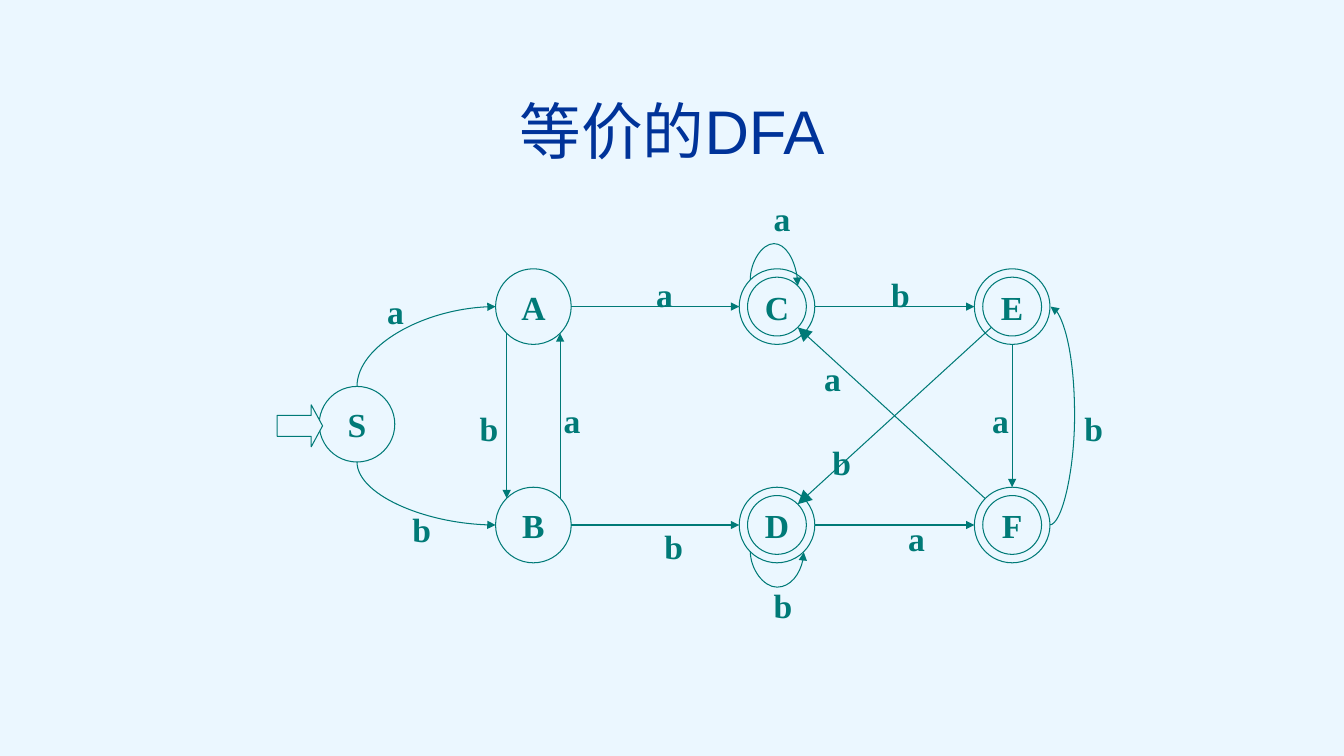
from dataclasses import dataclass
from math import cos, radians, sin

from lxml.etree import SubElement
from pptx import Presentation
from pptx.dml.color import RGBColor
from pptx.enum.shapes import MSO_CONNECTOR as Link, MSO_SHAPE as Shape
from pptx.enum.text import MSO_ANCHOR as Anchor, MSO_AUTO_SIZE as Fit, PP_ALIGN as Align
from pptx.oxml.ns import qn
from pptx.util import Inches, Length, Pt

# The slide is a grid of 160 columns by 90 rows, twelve to the inch
COLS, ROWS = 160, 90
PAPER, INK, TITLE = "EBF7FF", "007A77", "003399"
OUTER, INNER = 4.5, 3.5  # radii of the state circles
Point = tuple[float, float]


@dataclass
class State:
    name: str
    x: float
    y: float
    final: bool = False


@dataclass
class Port:
    """Point on a state's circle; angle runs clockwise from the right."""
    state: str
    angle: int
    radius: float = OUTER


@dataclass
class Edge:
    start: Port
    end: Port
    head: str = "med"


@dataclass
class Curve:
    start: Port
    end: Port
    preset: str
    turn: int
    flip: str = ""
    bend: float = 0


@dataclass
class Label:
    text: str
    x: float
    y: float


STATES = {s.name: s for s in (
    State("S", 42.5, 50.5), State("A", 63.5, 36.5), State("B", 63.5, 62.5),
    State("C", 92.5, 36.5, True), State("D", 92.5, 62.5, True),
    State("E", 120.5, 36.5, True), State("F", 120.5, 62.5, True))}

EDGES = [
    Edge(Port("B", -45), Port("A", 45)), Edge(Port("A", 135), Port("B", -135)),
    Edge(Port("A", 0), Port("C", 180)), Edge(Port("B", 0), Port("D", 180)),
    Edge(Port("D", 0), Port("F", 180)), Edge(Port("C", 0), Port("E", 180)),
    Edge(Port("E", 90), Port("F", -90)),
    Edge(Port("F", -135, INNER), Port("C", 45, INNER), "lg"),
    Edge(Port("E", 135, INNER), Port("D", -45, INNER), "lg")]

CURVES = [
    Curve(Port("S", -90), Port("A", 180), "curvedConnector2", 270),
    Curve(Port("S", 90), Port("B", 180), "curvedConnector2", 270, "flipH"),
    Curve(Port("F", 0), Port("E", 0), "curvedConnector3", 0, "flipV", 3),
    Curve(Port("C", -135), Port("C", -45, INNER), "curvedConnector3", 90, "flipV", -4.3),
    Curve(Port("D", 135), Port("D", 45), "curvedConnector3", 270, "flipH", 4.3)]

LABELS = [
    Label("a", 47.1, 37), Label("b", 50.2, 63), Label("b", 58.2, 51),
    Label("a", 68.1, 50), Label("a", 79.1, 35), Label("b", 80.2, 65),
    Label("a", 93.1, 26), Label("b", 93.2, 72), Label("a", 99.1, 45),
    Label("b", 100.2, 55), Label("b", 107.2, 35), Label("a", 109.1, 64),
    Label("a", 119.1, 50), Label("b", 130.2, 51)]


def grid(n: float) -> Length:
    return Inches(n / 12)


def color(value: str) -> RGBColor:
    return RGBColor.from_string(value)


def locate(port: Port) -> Point:
    state, angle = STATES[port.state], radians(port.angle)
    return state.x + port.radius * cos(angle), state.y + port.radius * sin(angle)


def write(sp, text: str) -> None:
    tf = sp.text_frame
    tf.word_wrap = False
    tf.vertical_anchor = Anchor.MIDDLE
    p = tf.paragraphs[0]
    p.text = text
    p.alignment = Align.CENTER
    p.font.name, p.font.size, p.font.bold = "Times New Roman", Pt(24), True
    p.font.color.rgb = color(INK)


def add_outline(shapes, kind: Shape, x: float, y: float, w: float, h: float):
    sp = shapes.add_shape(kind, grid(x), grid(y), grid(w), grid(h))
    sp.shadow.inherit = False
    sp.fill.solid()
    sp.fill.fore_color.rgb = color(PAPER)
    sp.line.color.rgb = color(INK)
    sp.line.width = Pt(0.75)
    return sp


def add_state(shapes, state: State) -> None:
    for radius in (OUTER, INNER) if state.final else (OUTER,):
        sp = add_outline(shapes, Shape.OVAL, state.x - radius, state.y - radius,
                         2 * radius, 2 * radius)
    write(sp, state.name)


def add_link(shapes, kind: Link, start: Point, end: Point, head: str = "med"):
    cx = shapes.add_connector(kind, *map(grid, start + end))
    cx.line.color.rgb = color(INK)
    cx.line.width = Pt(0.75)
    SubElement(cx.line._get_or_add_ln(), qn("a:tailEnd"), type="triangle", w=head, len=head)
    SubElement(cx._element.spPr, qn("a:effectLst"))
    return cx


def add_curve(shapes, curve: Curve) -> None:
    (x1, y1), (x2, y2) = locate(curve.start), locate(curve.end)
    w, h = abs(x2 - x1), abs(y2 - y1)
    if curve.turn:  # a quarter turn swaps the sides of the box
        w, h = h, w
    w = max(w, 0.1)
    x, y = (x1 + x2 - w) / 2, (y1 + y2 - h) / 2
    cx = add_link(shapes, Link.CURVE, (x, y), (x + w, y + h))
    xfrm = cx._element.spPr.find(qn("a:xfrm"))
    xfrm.set("rot", str(curve.turn * 60000))
    if curve.flip:
        xfrm.set(curve.flip, "1")
    geom = cx._element.spPr.find(qn("a:prstGeom"))
    geom.set("prst", curve.preset)
    if curve.bend:
        SubElement(geom.find(qn("a:avLst")), qn("a:gd"), name="adj1",
                   fmla=f"val {round(curve.bend / w * 100000)}")


def add_label(shapes, label: Label) -> None:
    w, h = 4.6, 6.1
    write(shapes.add_textbox(grid(label.x - w / 2), grid(label.y - h / 2),
                             grid(w), grid(h)), label.text)


def add_title(sp, text: str) -> None:
    sp.left, sp.top, sp.width, sp.height = map(grid, (5.3, 8, 149.4, 15))
    tf = sp.text_frame
    tf.word_wrap, tf.auto_size, tf.vertical_anchor = True, Fit.NONE, Anchor.MIDDLE
    p = tf.paragraphs[0]
    p.text = text
    p.alignment = Align.CENTER
    p.font.name, p.font.size = "Arial", Pt(44)
    p.font.color.rgb = color(TITLE)


def main() -> None:
    prs = Presentation()
    prs.slide_width, prs.slide_height = grid(COLS), grid(ROWS)
    s = prs.slides.add_slide(prs.slide_layouts[5])
    s.background.fill.solid()
    s.background.fill.fore_color.rgb = color(PAPER)
    add_title(s.shapes.title, "等价的DFA")

    # Transitions lie over every state but F
    for name in "SABCDE":
        add_state(s.shapes, STATES[name])
    for edge in EDGES:
        add_link(s.shapes, Link.STRAIGHT, locate(edge.start), locate(edge.end), edge.head)
    for curve in CURVES:
        add_curve(s.shapes, curve)
    add_state(s.shapes, STATES["F"])

    # Start arrow
    arrow = add_outline(s.shapes, Shape.RIGHT_ARROW, 33, 48.2, 5.4, 5)
    arrow.adjustments[1] = 0.27

    # Input symbols
    for label in LABELS:
        add_label(s.shapes, label)
    prs.save("out.pptx")


if __name__ == "__main__":
    main()
